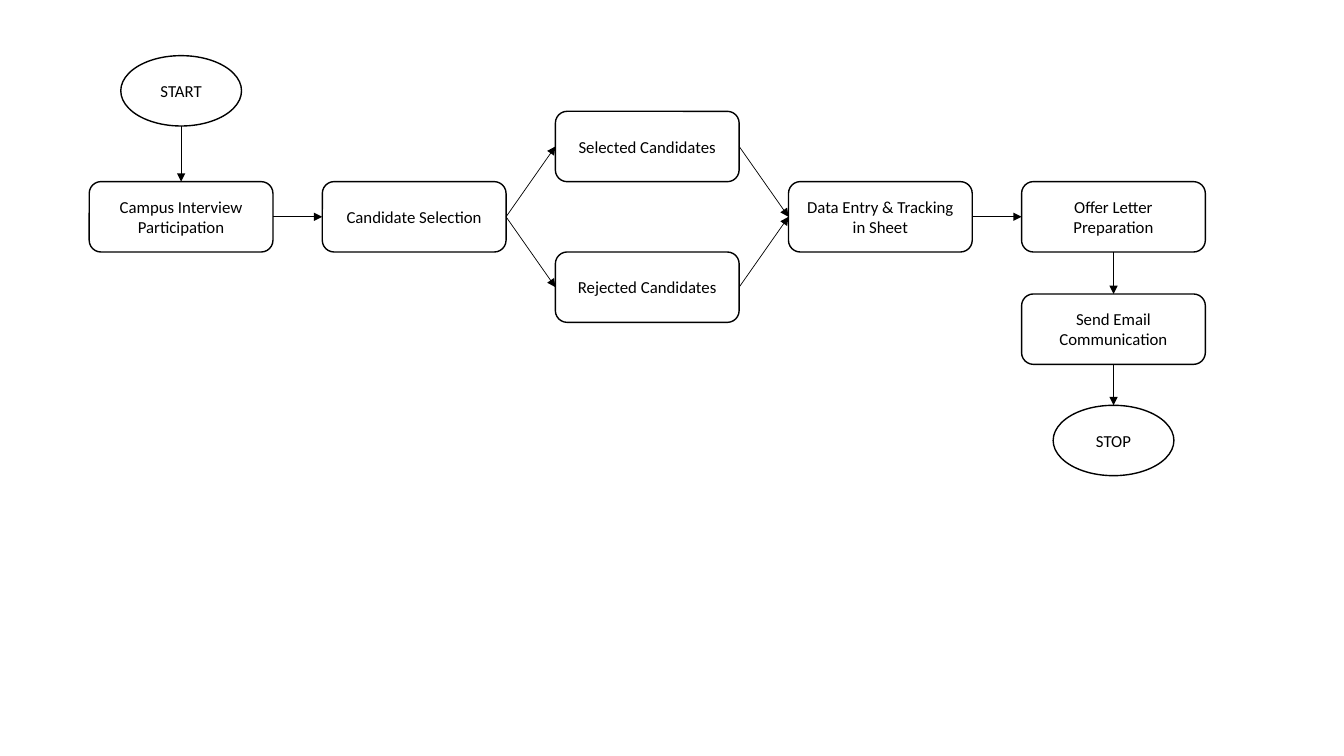
"""Draw the flow chart of campus hiring, from START to STOP."""
from dataclasses import dataclass

from lxml import etree
from pptx import Presentation
from pptx.dml.color import RGBColor
from pptx.enum import shapes, text
from pptx.oxml import ns
from pptx.shapes.autoshape import Shape
from pptx.shapes.shapetree import SlideShapes
from pptx.util import Emu, Pt

PX = 9525
BLACK = RGBColor(0x00, 0x00, 0x00)
WHITE = RGBColor(0xFF, 0xFF, 0xFF)
FONT = {"name": "Calibri", "size": Pt(12)}
FRAME = {"word_wrap": True, "vertical_anchor": text.MSO_ANCHOR.MIDDLE}

LEFT, PITCH = 85, 222
WIDTH, OVAL, HEIGHT = 175, 115, 67
MID = 173
TOP, LEFT_SIDE, BOTTOM, RIGHT = range(4)
OVAL_BOTTOM = 4


@dataclass(frozen=True)
class Step:
    label: str
    col: int
    top: int
    oval: bool = False


@dataclass(frozen=True)
class Link:
    start: str
    out: int
    end: str
    into: int


STEPS = {
    "start": Step("START", 0, 53, True),
    "campus": Step("Campus Interview Participation", 0, MID),
    "choice": Step("Candidate Selection", 1, MID),
    "chosen": Step("Selected Candidates", 2, MID - HEIGHT),
    "refused": Step("Rejected Candidates", 2, MID + HEIGHT),
    "data": Step("Data Entry & Tracking in Sheet", 3, MID),
    "offer": Step("Offer Letter Preparation", 4, MID),
    "email": Step("Send Email Communication", 4, 280),
    "stop": Step("STOP", 4, 386, True),
}

LINKS = [
    Link("start", OVAL_BOTTOM, "campus", TOP),
    Link("campus", RIGHT, "choice", LEFT_SIDE),
    Link("choice", RIGHT, "chosen", LEFT_SIDE),
    Link("choice", RIGHT, "refused", LEFT_SIDE),
    Link("chosen", RIGHT, "data", LEFT_SIDE),
    Link("refused", RIGHT, "data", LEFT_SIDE),
    Link("data", RIGHT, "offer", LEFT_SIDE),
    Link("offer", BOTTOM, "email", TOP),
    Link("email", BOTTOM, "stop", TOP),
]


def px(count: int) -> Emu:
    """Turn whole pixels into EMU."""
    return Emu(count * PX)


def put(target: object, values: dict) -> None:
    """Set each named format value on the target."""
    for name, value in values.items():
        setattr(target, name, value)


def draw_step(tree: SlideShapes, step: Step) -> Shape:
    """Draw one step, centred in its column."""
    kinds = shapes.MSO_SHAPE
    kind = kinds.OVAL if step.oval else kinds.ROUNDED_RECTANGLE
    width = OVAL if step.oval else WIDTH
    left = LEFT + step.col * PITCH + (WIDTH - width) // 2
    box = tree.add_shape(kind, px(left), px(step.top), px(width), px(HEIGHT))
    box.shadow.inherit = False
    box.fill.solid()
    box.fill.fore_color.rgb = WHITE
    box.line.color.rgb = BLACK
    box.line.width = Pt(1)
    put(box.text_frame, FRAME)
    para = box.text_frame.paragraphs[0]
    para.alignment = text.PP_ALIGN.CENTER
    run = para.add_run()
    run.text = step.label
    put(run.font, FONT)
    run.font.color.rgb = BLACK
    return box


def draw_link(tree: SlideShapes, link: Link, boxes: dict[str, Shape]) -> None:
    """Draw one arrow that joins two steps."""
    start, end = boxes[link.start], boxes[link.end]
    arrow = tree.add_connector(
        shapes.MSO_CONNECTOR.STRAIGHT,
        start.left + start.width // 2, start.top + start.height,
        end.left + end.width // 2, end.top)
    arrow.begin_connect(start, TOP)
    arrow.end_connect(end, link.into)
    arrow.begin_connect(start, BOTTOM if link.out == OVAL_BOTTOM else link.out)
    if link.out == OVAL_BOTTOM:
        site = arrow.element.find(".//" + ns.qn("a:stCxn"))
        site.set("idx", str(OVAL_BOTTOM))
    arrow.line.color.rgb = BLACK
    arrow.line.width = Pt(0.5)
    props = arrow.element.spPr
    etree.SubElement(props.find(ns.qn("a:ln")), ns.qn("a:tailEnd"), type="triangle")
    etree.SubElement(props, ns.qn("a:effectLst"))


def main() -> None:
    """Build the slide and save it."""
    deck = Presentation()
    put(deck, {"slide_width": px(1280), "slide_height": px(720)})
    tree = deck.slides.add_slide(deck.slide_layouts[6]).shapes
    boxes = {key: draw_step(tree, step) for key, step in STEPS.items()}
    for link in LINKS:
        draw_link(tree, link, boxes)
    deck.save("out.pptx")


if __name__ == "__main__":
    main()
